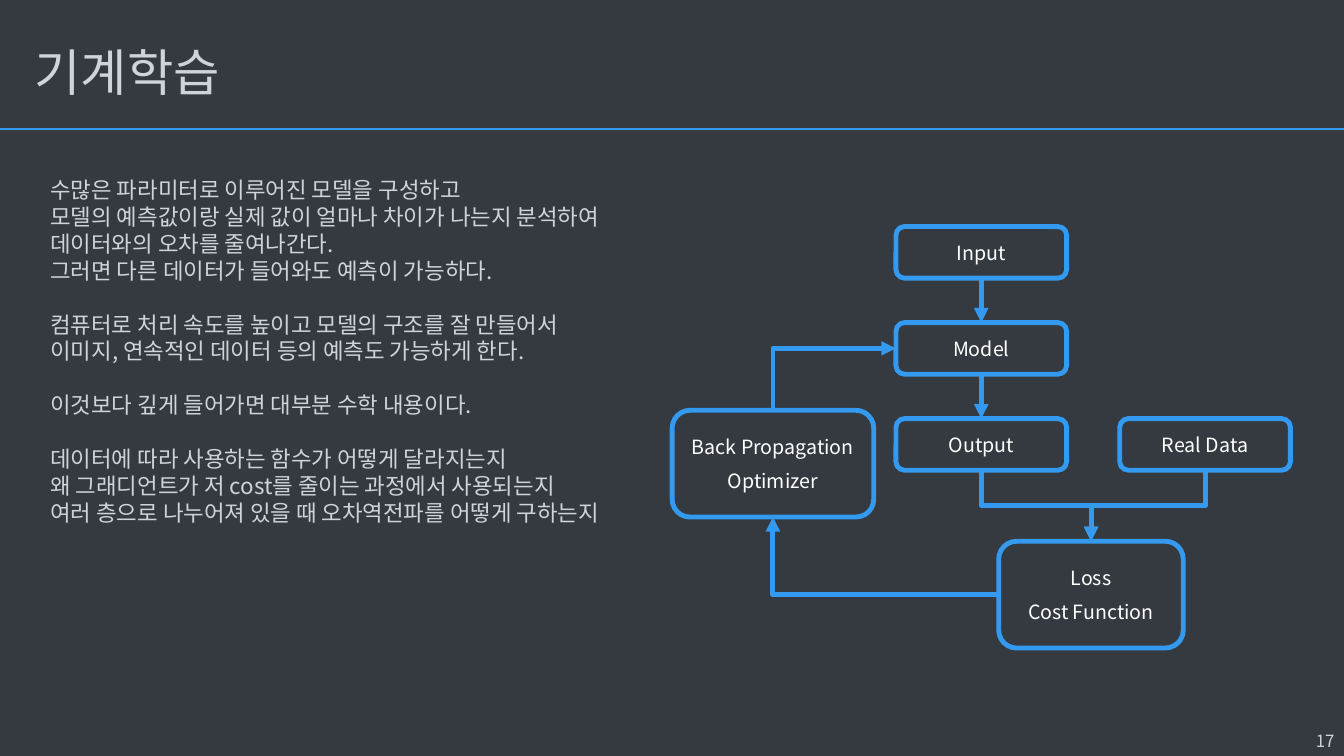
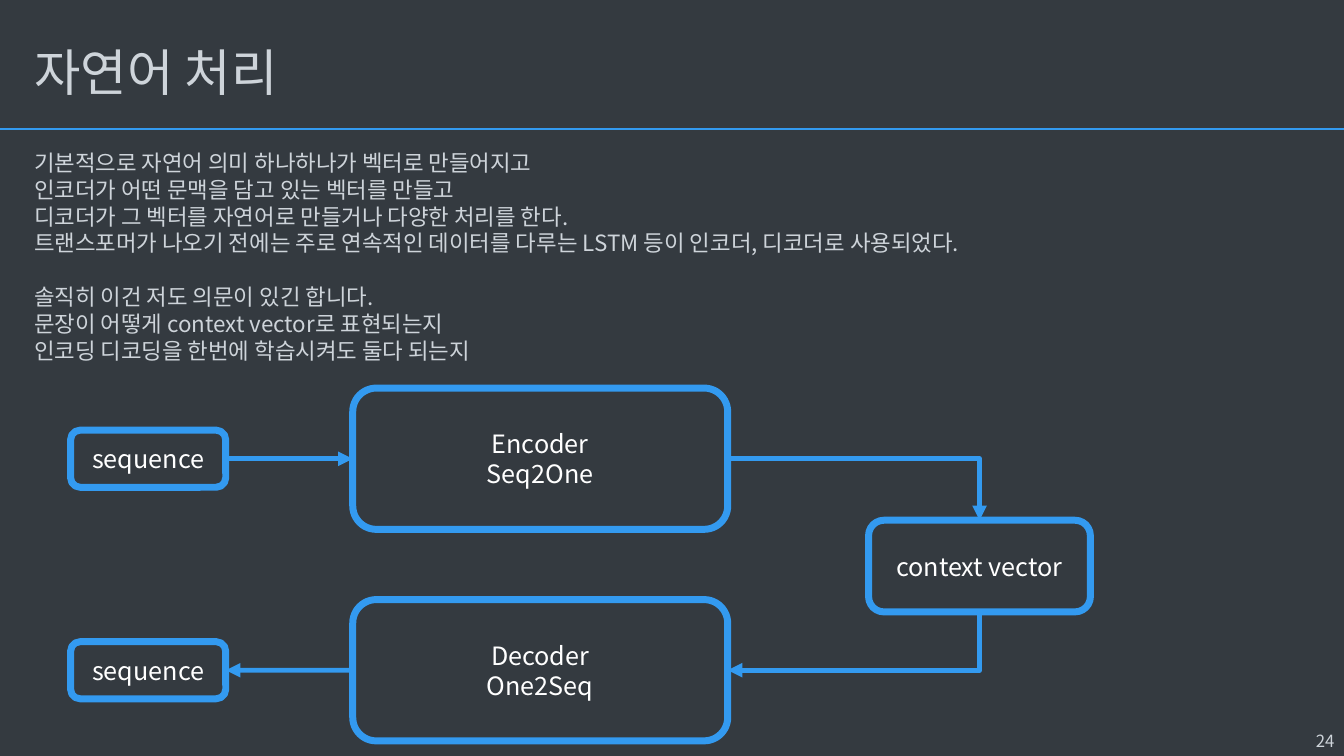
from dataclasses import dataclass

from lxml import etree
from pptx import Presentation
from pptx.dml.color import RGBColor
from pptx.enum.shapes import MSO_CONNECTOR, MSO_SHAPE
from pptx.enum.text import MSO_ANCHOR, MSO_AUTO_SIZE, PP_ALIGN
from pptx.oxml.ns import qn
from pptx.util import Cm, Pt

LEFT, CENTER, RIGHT = PP_ALIGN.LEFT, PP_ALIGN.CENTER, PP_ALIGN.RIGHT
TOP, MIDDLE = MSO_ANCHOR.TOP, MSO_ANCHOR.MIDDLE
STRAIGHT, ELBOW = MSO_CONNECTOR.STRAIGHT, MSO_CONNECTOR.ELBOW
ROUNDED = MSO_SHAPE.ROUNDED_RECTANGLE
TITLE_ONLY = 5

# Connection sites of a box; even numbers leave vertically
TOP_SITE, LEFT_SITE, BOTTOM_SITE, RIGHT_SITE = range(4)


@dataclass(frozen=True)
class Theme:
    font: str = "Noto Sans CJK KR"
    background: RGBColor = RGBColor(0x34, 0x3A, 0x40)
    accent: RGBColor = RGBColor(0x33, 0x9A, 0xF0)
    text: RGBColor = RGBColor(0xCE, 0xD4, 0xDA)
    box_text: RGBColor = RGBColor(0xFF, 0xFF, 0xFF)
    title_size: float = 36
    body_size: float = 16
    number_size: float = 12
    leading: float = 1.2
    rule_width: float = 2
    arrow_width: float = 3.5


THEME = Theme()


def write(frame, lines, size, color=THEME.text, align=LEFT, anchor=TOP,
          gaps=None, spacing=None):
    """Fill a text frame; gaps maps a line index to the points before it."""
    frame.word_wrap = True
    frame.auto_size = MSO_AUTO_SIZE.NONE
    frame.vertical_anchor = anchor
    for index, line in enumerate(lines):
        para = frame.paragraphs[0] if index == 0 else frame.add_paragraph()
        para.alignment = align
        para.line_spacing = spacing or Pt(size * THEME.leading)
        para.space_before = Pt((gaps or {}).get(index, 0))
        span = para.add_run()
        span.text = line
        span.font.size = Pt(size)
        span.font.color.rgb = color
        span.font.name = THEME.font
        properties = span._r.get_or_add_rPr()
        etree.SubElement(properties, qn("a:ea"), typeface=THEME.font)


class DeckBuilder:
    def __init__(self):
        self.deck = Presentation()
        self.deck.slide_width = Cm(33.87)
        self.deck.slide_height = Cm(19.05)
        self.page = None

    def new_page(self, title, number):
        """Start a slide with its background, title, rule and number."""
        self.page = self.deck.slides.add_slide(self.deck.slide_layouts[TITLE_ONLY])
        fill = self.page.background.fill
        fill.solid()
        fill.fore_color.rgb = THEME.background
        heading = self.page.shapes.title
        heading.left, heading.top = Cm(0.61), Cm(0.71)
        heading.width, heading.height = Cm(29.21), Cm(2.39)
        write(heading.text_frame, [title], THEME.title_size, anchor=MIDDLE,
              spacing=0.9)
        rule = self.page.shapes.add_connector(
            STRAIGHT, 0, Cm(3.25), self.deck.slide_width, Cm(3.25))
        self.style_line(rule, THEME.rule_width)
        self.text([number], 29.59, 18.29, 4.29, 0.76,
                  size=THEME.number_size, align=RIGHT)

    def text(self, lines, left, top, width, height, **style):
        box = self.page.shapes.add_textbox(Cm(left), Cm(top), Cm(width), Cm(height))
        write(box.text_frame, lines, **style)

    def body(self, groups, left, top, width, height):
        """Place groups of lines, one blank line's height apart."""
        lines, gaps = [], {}
        for group in groups:
            if lines:
                gaps[len(lines)] = THEME.body_size * THEME.leading
            lines += group
        self.text(lines, left, top, width, height, size=THEME.body_size, gaps=gaps)

    def box(self, lines, left, top, width, height, size, border, gap=0):
        shape = self.page.shapes.add_shape(
            ROUNDED, Cm(left), Cm(top), Cm(width), Cm(height))
        shape.shadow.inherit = False
        shape.fill.solid()
        shape.fill.fore_color.rgb = THEME.background
        shape.line.color.rgb = THEME.accent
        shape.line.width = Pt(border)
        write(shape.text_frame, lines, size, color=THEME.box_text,
              align=CENTER, anchor=MIDDLE, gaps={1: gap})
        return shape

    def style_line(self, connector, width):
        connector.line.color.rgb = THEME.accent
        connector.line.width = Pt(width)
        etree.SubElement(connector._element.spPr, qn("a:effectLst"))

    def arrow(self, start, start_site, end, end_site, kind=ELBOW):
        """Join two boxes with an arrow glued to their sites."""
        connector = self.page.shapes.add_connector(kind, 0, 0, 0, 0)
        connector.begin_connect(start, start_site)
        connector.end_connect(end, end_site)
        self.style_line(connector, THEME.arrow_width)
        etree.SubElement(connector.line._get_or_add_ln(), qn("a:tailEnd"),
                         type="triangle")
        if kind == ELBOW:
            self.bend(connector, start_site, end_site)

    def bend(self, connector, start_site, end_site):
        """Give an elbow one or two corners and turn it to its first leg."""
        properties = connector._element.spPr
        if start_site % 2 != end_site % 2:
            properties.find(qn("a:prstGeom")).set("prst", "bentConnector2")
        if start_site % 2:
            return
        across = connector.end_x - connector.begin_x
        down = connector.end_y - connector.begin_y
        middle_x = (connector.begin_x + connector.end_x) // 2
        middle_y = (connector.begin_y + connector.end_y) // 2
        connector.width, connector.height = abs(down), abs(across)
        connector.left = middle_x - abs(down) // 2
        connector.top = middle_y - abs(across) // 2
        backward = across > 0 and down > 0
        frame = properties.find(qn("a:xfrm"))
        frame.set("rot", str((270 if backward else 90) * 60000))
        frame.set("flipH", str(int((down < 0) != backward)))
        frame.set("flipV", str(int((across > 0) != backward)))


def machine_learning(builder):
    builder.new_page("기계학습", "17")
    builder.body([
        ["수많은 파라미터로 이루어진 모델을 구성하고",
         "모델의 예측값이랑 실제 값이 얼마나 차이가 나는지 분석하여",
         "데이터와의 오차를 줄여나간다.",
         "그러면 다른 데이터가 들어와도 예측이 가능하다."],
        ["컴퓨터로 처리 속도를 높이고 모델의 구조를 잘 만들어서",
         "이미지, 연속적인 데이터 등의 예측도 가능하게 한다."],
        ["이것보다 깊게 들어가면 대부분 수학 내용이다."],
        ["데이터에 따라 사용하는 함수가 어떻게 달라지는지",
         "왜 그래디언트가 저 cost를 줄이는 과정에서 사용되는지",
         "여러 층으로 나누어져 있을 때 오차역전파를 어떻게 구하는지"],
    ], 1.02, 4.32, 17.04, 9.14)

    # Boxes of the training loop
    style = {"size": 14, "border": 3.5, "gap": 7.2}
    column, first_row, step = 22.58, 5.71, 2.42
    source, model, output = [
        builder.box([name], column, first_row + step * row, 4.3, 1.3, **style)
        for row, name in enumerate(["Input", "Model", "Output"])]
    real = builder.box(["Real Data"], 28.22, first_row + step * 2, 4.3, 1.3, **style)
    loss = builder.box(["Loss", "Cost Function"], 25.17, 13.64, 4.65, 2.69, **style)
    optimizer = builder.box(["Back Propagation", "Optimizer"],
                            16.94, 10.34, 5.08, 2.69, **style)

    # Arrows of the training loop
    for upper, lower in [(source, model), (model, output)]:
        builder.arrow(upper, BOTTOM_SITE, lower, TOP_SITE, kind=STRAIGHT)
    for values in (real, output):
        builder.arrow(values, BOTTOM_SITE, loss, TOP_SITE)
    builder.arrow(loss, LEFT_SITE, optimizer, BOTTOM_SITE)
    builder.arrow(optimizer, TOP_SITE, model, LEFT_SITE)


def language_processing(builder):
    builder.new_page("자연어 처리", "24")
    builder.body([
        ["기본적으로 자연어 의미 하나하나가 벡터로 만들어지고",
         "인코더가 어떤 문맥을 담고 있는 벡터를 만들고",
         "디코더가 그 벡터를 자연어로 만들거나 다양한 처리를 한다.",
         "트랜스포머가 나오기 전에는 주로 연속적인 데이터를 다루는 LSTM 등이 "
         "인코더, 디코더로 사용되었다."],
        ["솔직히 이건 저도 의문이 있긴 합니다.",
         "문장이 어떻게 context vector로 표현되는지",
         "인코딩 디코딩을 한번에 학습시켜도 둘다 되는지"],
    ], 0.61, 3.63, 28.2, 5.74)

    # Encoder row above, decoder row below
    style = {"size": 18, "border": 5}
    context = builder.box(["context vector"], 21.89, 13.11, 5.59, 2.31, **style)
    rows = []
    for top, lines in [(9.78, ["Encoder", "Seq2One"]), (15.11, ["Decoder", "One2Seq"])]:
        coder = builder.box(lines, 8.89, top, 9.45, 3.56, **style)
        sequence = builder.box(["sequence"], 1.78, top + 1.06, 3.91, 1.44, **style)
        rows.append((coder, sequence))
    (encoder, source), (decoder, result) = rows

    # Arrows from the source sequence round to the result
    builder.arrow(source, RIGHT_SITE, encoder, LEFT_SITE, kind=STRAIGHT)
    builder.arrow(decoder, LEFT_SITE, result, RIGHT_SITE, kind=STRAIGHT)
    builder.arrow(encoder, RIGHT_SITE, context, TOP_SITE)
    builder.arrow(context, BOTTOM_SITE, decoder, RIGHT_SITE)


def main():
    builder = DeckBuilder()
    machine_learning(builder)
    language_processing(builder)
    builder.deck.save("out.pptx")


if __name__ == "__main__":
    main()
